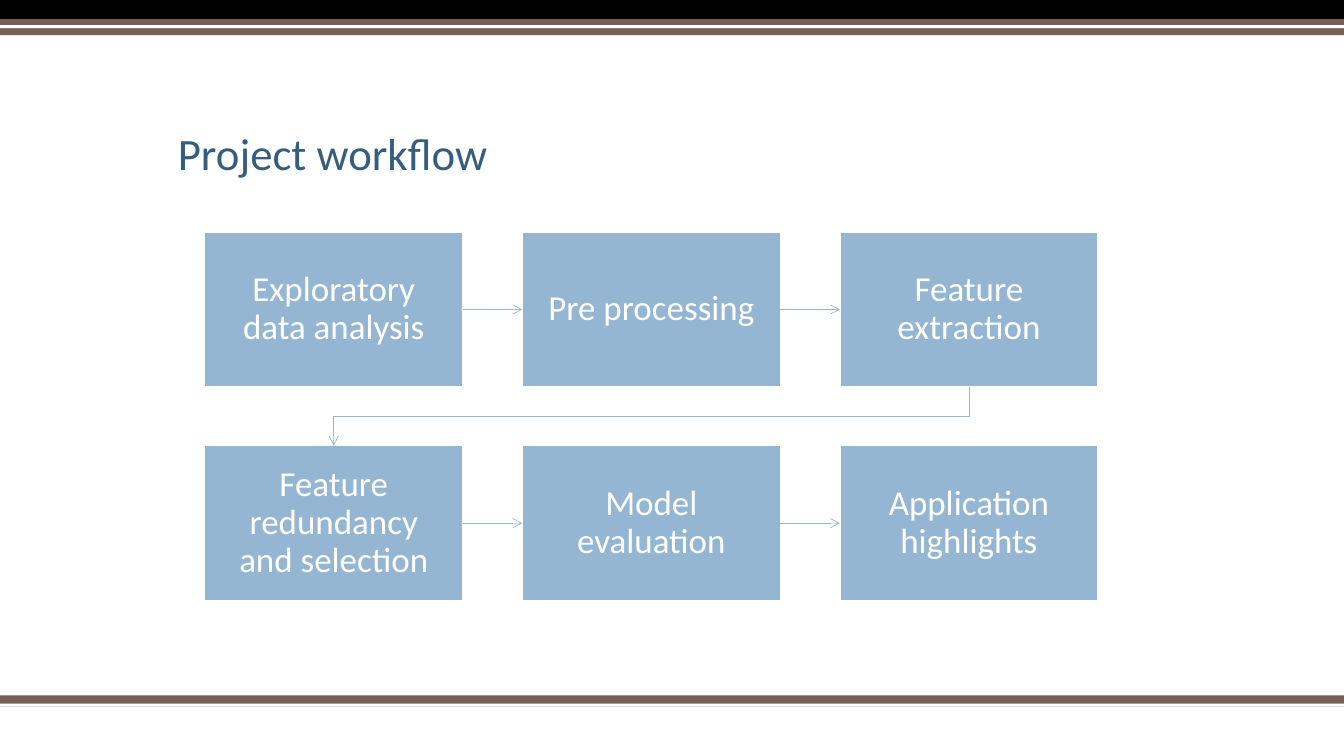
"""Build the project workflow slide: six steps in two rows, joined by arrows."""
from typing import NamedTuple

import pptx
import pptx.dml.color
import pptx.enum.shapes
import pptx.enum.text
import pptx.oxml
import pptx.oxml.ns
import pptx.shapes.autoshape
import pptx.shapes.connector
import pptx.slide
import pptx.util

RGBColor = pptx.dml.color.RGBColor
BLACK = RGBColor(0x00, 0x00, 0x00)
WHITE = RGBColor(0xFF, 0xFF, 0xFF)
BROWN = RGBColor(0x77, 0x5F, 0x55)
NAVY = RGBColor(0x35, 0x5D, 0x7E)
SKY = RGBColor(0x94, 0xB6, 0xD2)

SLIDE_WIDTH = pptx.util.Inches(13.33)
SLIDE_HEIGHT = pptx.util.Inches(7.5)
FONT = "Calibri"
COLUMNS = 3
STEP_LEFT, STEP_WIDTH, COLUMN_PITCH = 15.23, 19.2, 23.63
STEP_TOP, STEP_HEIGHT, ROW_PITCH = 30.67, 20.53, 28.27
RECTANGLE = pptx.enum.shapes.MSO_SHAPE.RECTANGLE


class Band(NamedTuple):
    """A full-width stripe, in percent of the slide height."""
    top: float
    height: float
    color: RGBColor


BANDS = (
    Band(92, 1.47, BROWN),
    Band(93.07, 0.4, WHITE),
    Band(0, 2.53, BLACK),
    Band(2.53, 2.13, BROWN),
    Band(3.33, 0.4, WHITE),
)
STEPS = (
    "Exploratory data analysis",
    "Pre processing",
    "Feature extraction",
    "Feature redundancy and selection",
    "Model evaluation",
    "Application highlights",
)


def across(percent: float) -> int:
    """Turn a percentage of the slide width into a length."""
    return round(SLIDE_WIDTH * percent / 100)


def down(percent: float) -> int:
    """Turn a percentage of the slide height into a length."""
    return round(SLIDE_HEIGHT * percent / 100)


def add_block(slide: pptx.slide.Slide, left: float, top: float, width: float,
              height: float, color: RGBColor) -> pptx.shapes.autoshape.Shape:
    """Add a plain filled rectangle placed by percentages of the slide."""
    block = slide.shapes.add_shape(
        RECTANGLE, across(left), down(top), across(width), down(height))
    block.shadow.inherit = False
    block.fill.solid()
    block.fill.fore_color.rgb = color
    block.line.fill.background()
    return block


def write(shape: pptx.shapes.autoshape.Shape, text: str, size: int, color: RGBColor,
          alignment: pptx.enum.text.PP_ALIGN,
          anchor: pptx.enum.text.MSO_ANCHOR) -> None:
    """Put one run of wrapped text into a shape."""
    frame = shape.text_frame
    frame.word_wrap = True
    frame.vertical_anchor = anchor
    paragraph = frame.paragraphs[0]
    paragraph.alignment = alignment
    paragraph.line_spacing = 0.9
    run = paragraph.add_run()
    run.text = text
    run.font.name = FONT
    run.font.size = pptx.util.Pt(size)
    run.font.color.rgb = color


def add_title(slide: pptx.slide.Slide) -> None:
    """Add the heading above the workflow."""
    title = slide.shapes.add_textbox(across(12.5), down(8.93), across(75), down(15.6))
    write(title, "Project workflow", 32, NAVY,
          pptx.enum.text.PP_ALIGN.LEFT, pptx.enum.text.MSO_ANCHOR.BOTTOM)


def add_step(slide: pptx.slide.Slide, index: int, text: str) -> pptx.shapes.autoshape.Shape:
    """Add a workflow step in its cell of the grid."""
    row, column = divmod(index, COLUMNS)
    step = add_block(slide, STEP_LEFT + column * COLUMN_PITCH,
                     STEP_TOP + row * ROW_PITCH, STEP_WIDTH, STEP_HEIGHT, SKY)
    step.line.color.rgb = WHITE
    step.line.width = pptx.util.Pt(1)
    frame = step.text_frame
    inset = pptx.util.Inches(0.19)
    frame.margin_left = frame.margin_right = inset
    frame.margin_top = frame.margin_bottom = inset
    write(step, text, 25, WHITE,
          pptx.enum.text.PP_ALIGN.CENTER, pptx.enum.text.MSO_ANCHOR.MIDDLE)
    return step


def style_arrow(arrow: pptx.shapes.connector.Connector | pptx.shapes.autoshape.Shape) -> None:
    """Give a line its colour, width and open arrowhead."""
    arrow.line.color.rgb = SKY
    arrow.line.width = pptx.util.Pt(0.5)
    head = pptx.oxml.parse_xml(
        f'<a:tailEnd {pptx.oxml.ns.nsdecls("a")} type="arrow"/>')
    arrow.line._get_or_add_ln().append(head)


def join_in_row(slide: pptx.slide.Slide, source: pptx.shapes.autoshape.Shape,
                target: pptx.shapes.autoshape.Shape) -> None:
    """Draw a straight arrow between neighbours in a row."""
    arrow = slide.shapes.add_connector(
        pptx.enum.shapes.MSO_CONNECTOR.STRAIGHT, 0, 0, 0, 0)
    arrow.begin_connect(source, 3)
    arrow.end_connect(target, 1)
    style_arrow(arrow)
    arrow._element.spPr.append(
        pptx.oxml.parse_xml(f'<a:effectLst {pptx.oxml.ns.nsdecls("a")}/>'))


def join_rows(slide: pptx.slide.Slide, source: pptx.shapes.autoshape.Shape,
              target: pptx.shapes.autoshape.Shape) -> None:
    """Draw a bent arrow from the end of a row to the start of the next."""
    start_x = source.left + source.width // 2
    end_x = target.left + target.width // 2
    start_y = source.top + source.height
    bend_y = (start_y + target.top) // 2
    builder = slide.shapes.build_freeform(start_x, start_y)
    builder.add_line_segments(
        [(start_x, bend_y), (end_x, bend_y), (end_x, target.top)], close=False)
    arrow = builder.convert_to_shape()
    arrow.shadow.inherit = False
    arrow.fill.background()
    style_arrow(arrow)


def main() -> None:
    """Build and save the slide."""
    presentation = pptx.Presentation()
    presentation.slide_width = SLIDE_WIDTH
    presentation.slide_height = SLIDE_HEIGHT
    slide = presentation.slides.add_slide(presentation.slide_layouts[6])
    for band in BANDS:
        add_block(slide, 0, band.top, 100, band.height, band.color)
    add_title(slide)
    steps = [add_step(slide, index, text) for index, text in enumerate(STEPS)]
    for index, (source, target) in enumerate(zip(steps, steps[1:]), start=1):
        join = join_in_row if index % COLUMNS else join_rows
        join(slide, source, target)
    presentation.save("out.pptx")


if __name__ == "__main__":
    main()
